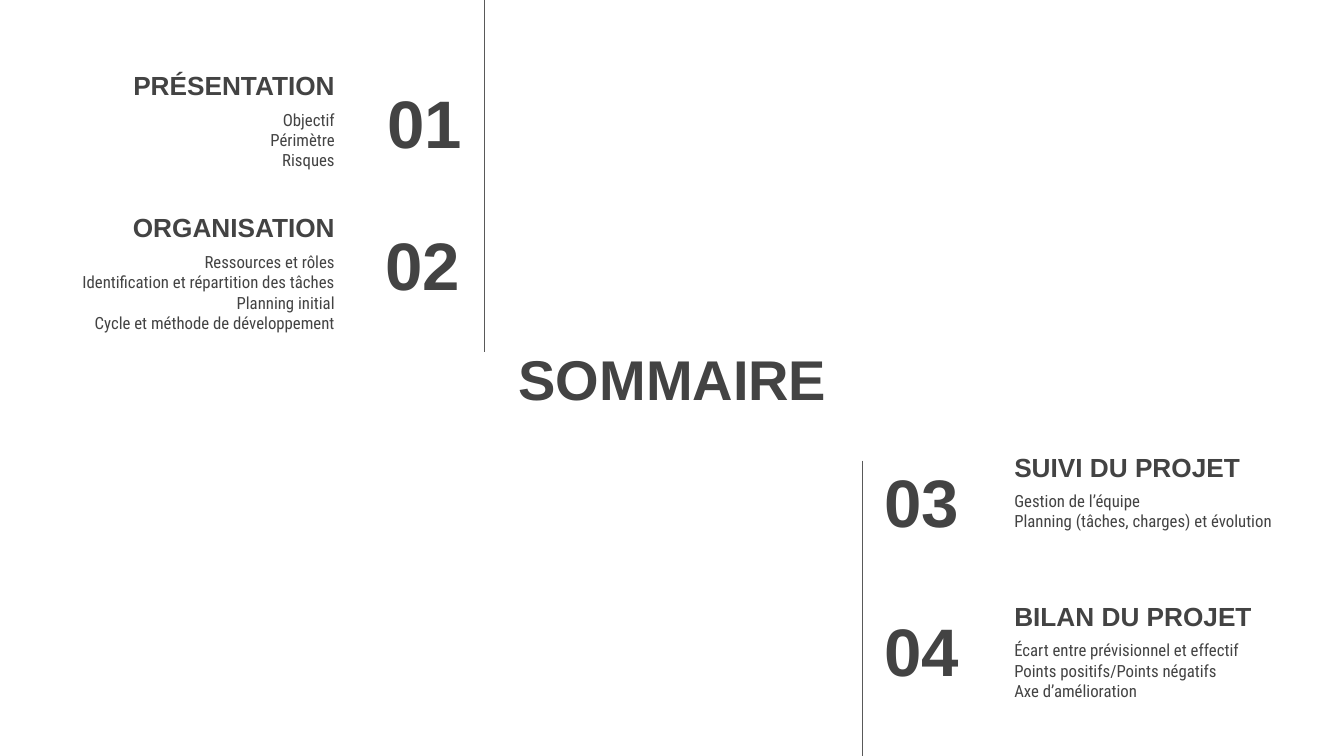
"""Build the agenda slide with four numbered sections around a central title."""
from dataclasses import dataclass

from lxml import etree
from pptx import Presentation
from pptx.dml.color import RGBColor
from pptx.enum import shapes, text
from pptx.oxml.ns import qn
from pptx.slide import Slide
from pptx.util import Inches, Pt


@dataclass(frozen=True)
class Theme:
    """Colours, fonts and type sizes."""
    ink: RGBColor = RGBColor(0x43, 0x43, 0x43)
    rule: RGBColor = RGBColor(0x59, 0x59, 0x59)
    display: str = "Arial"
    body: str = "Roboto Condensed"
    title_size: float = 40
    number_size: float = 48
    heading_size: float = 18.7
    item_size: float = 12
    rule_width: float = 0.75
    inset: float = 0.13


@dataclass(frozen=True)
class Box:
    """Position and size in inches."""
    left: float
    top: float
    width: float
    height: float


@dataclass(frozen=True)
class Style:
    """Look of one kind of text."""
    size: float
    font: str
    bold: bool
    anchor: text.MSO_ANCHOR


@dataclass(frozen=True)
class Side:
    """Column geometry shared by the sections on one side."""
    align: text.PP_ALIGN
    edge: float
    number_width: float
    number_drop: float
    item_drop: float


@dataclass(frozen=True)
class Section:
    """One numbered agenda entry."""
    side: Side
    number: str
    number_left: float
    top: float
    heading: str
    items: tuple[str, ...]
    items_width: float
    items_height: float


@dataclass(frozen=True)
class Rule:
    """Vertical rule in inches."""
    x: float
    top: float
    bottom: float


THEME = Theme()
SLIDE_W, SLIDE_H = 13.33, 7.5
ROW_H, HEADING_W = 0.84, 2.88
TITLE = Style(THEME.title_size, THEME.display, True, text.MSO_ANCHOR.MIDDLE)
NUMBER = Style(THEME.number_size, THEME.display, True, text.MSO_ANCHOR.MIDDLE)
HEADING = Style(THEME.heading_size, THEME.display, True, text.MSO_ANCHOR.BOTTOM)
ITEMS = Style(THEME.item_size, THEME.body, False, text.MSO_ANCHOR.TOP)
LEFT = Side(text.PP_ALIGN.RIGHT, 3.45, 1.62, 0.5, 0.67)
RIGHT = Side(text.PP_ALIGN.LEFT, 9.93, 1.56, 0.47, 0.66)
SECTIONS = (
    Section(LEFT, "01", 3.09, 0.29, "PRÉSENTATION",
            ("Objectif", "Périmètre", "Risques"), 2.44, 0.83),
    Section(LEFT, "02", 3.07, 1.7, "ORGANISATION",
            ("Ressources et rôles", "Identification et répartition des tâches",
             "Planning initial", "Cycle et méthode de développement"), 3.25, 1.56),
    Section(RIGHT, "03", 8.64, 4.08, "SUIVI DU PROJET",
            ("Gestion de l’équipe", "Planning (tâches, charges) et évolution"), 3.15, 0.83),
    Section(RIGHT, "04", 8.64, 5.56, "BILAN DU PROJET",
            ("Écart entre prévisionnel et effectif", "Points positifs/Points négatifs",
             "Axe d’amélioration"), 3.22, 1.11),
)
RULES = (Rule(4.81, 0, 3.49), Rule(8.55, 4.57, SLIDE_H))


def add_text(slide: Slide, box: Box, lines: tuple[str, ...], style: Style,
             align: text.PP_ALIGN) -> None:
    """Add a text box with one paragraph per line."""
    sp = slide.shapes.add_textbox(Inches(box.left), Inches(box.top),
                                  Inches(box.width), Inches(box.height))
    tf = sp.text_frame
    tf.word_wrap = True
    tf.vertical_anchor = style.anchor
    tf.margin_left = tf.margin_right = Inches(THEME.inset)
    tf.margin_top = tf.margin_bottom = Inches(THEME.inset)
    tf.text = "\n".join(lines)
    for p in tf.paragraphs:
        p.alignment = align
        for r in p.runs:
            r.font.size = Pt(style.size)
            r.font.name = style.font
            r.font.bold = style.bold
            r.font.color.rgb = THEME.ink


def add_section(slide: Slide, section: Section) -> None:
    """Add the heading, items and number of a section."""
    side = section.side

    def column(top: float, width: float, height: float) -> Box:
        """Place a box against the column edge."""
        left = side.edge - width if side is LEFT else side.edge
        return Box(left, top, width, height)

    add_text(slide, column(section.top, HEADING_W, ROW_H),
             (section.heading,), HEADING, side.align)
    add_text(slide, column(section.top + side.item_drop, section.items_width,
                           section.items_height), section.items, ITEMS, side.align)
    add_text(slide, Box(section.number_left, section.top + side.number_drop,
                        side.number_width, ROW_H), (section.number,), NUMBER, side.align)


def add_rule(slide: Slide, rule: Rule) -> None:
    """Add a thin vertical rule without shadow."""
    line = slide.shapes.add_connector(shapes.MSO_CONNECTOR.STRAIGHT, Inches(rule.x),
                                      Inches(rule.top), Inches(rule.x), Inches(rule.bottom))
    line.line.color.rgb = THEME.rule
    line.line.width = Pt(THEME.rule_width)
    etree.SubElement(line._element.spPr, qn("a:effectLst"))


def main() -> None:
    """Build and save the slide."""
    prs = Presentation()
    prs.slide_width, prs.slide_height = Inches(SLIDE_W), Inches(SLIDE_H)
    slide = prs.slides.add_slide(prs.slide_layouts[6])
    add_text(slide, Box(4.94, 3.06, 3.46, 1.38), ("SOMMAIRE",), TITLE, text.PP_ALIGN.CENTER)
    for section in SECTIONS:
        add_section(slide, section)
    for rule in RULES:
        add_rule(slide, rule)
    prs.save("out.pptx")


if __name__ == "__main__":
    main()
